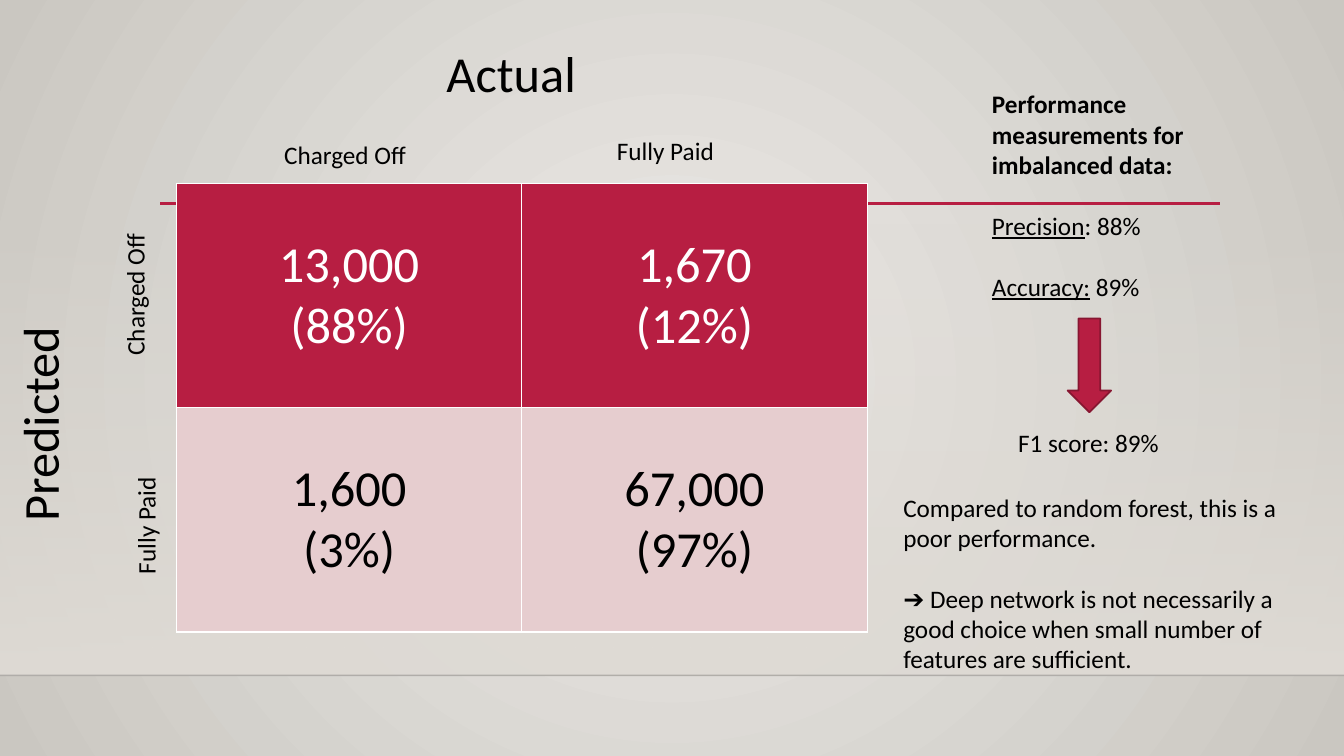
from dataclasses import dataclass

from lxml import etree
from pptx import Presentation
from pptx.dml.color import RGBColor
from pptx.enum.shapes import MSO_CONNECTOR, MSO_SHAPE
from pptx.enum.text import MSO_ANCHOR, PP_ALIGN
from pptx.oxml import parse_xml
from pptx.oxml.ns import nsdecls, qn
from pptx.util import Inches, Pt

STRAIGHT = MSO_CONNECTOR.STRAIGHT
RECTANGLE = MSO_SHAPE.RECTANGLE
DOWN_ARROW = MSO_SHAPE.DOWN_ARROW
MIDDLE = MSO_ANCHOR.MIDDLE
LEFT, CENTER = PP_ALIGN.LEFT, PP_ALIGN.CENTER

SLIDE_WIDTH, SLIDE_HEIGHT = Inches(13.33), Inches(7.5)


@dataclass(frozen=True)
class Theme:
    font: str = "Calibri"
    heading: int = 36
    body: int = 18
    line_gap: int = 22
    text: str = "000000"
    white: str = "FFFFFF"
    accent: str = "B71E42"
    accent_dark: str = "871631"
    tint: str = "E6CDCF"
    glow: str = "ECEAE7"
    edge: str = "CAC7C1"
    band: str = "DFDBD5"
    floor: str = "000001"


THEME = Theme()


@dataclass(frozen=True)
class Area:
    """Left, top, width and height in percent of the slide's size."""
    left: float
    top: float
    width: float
    height: float

    def box(self) -> tuple[int, int, int, int]:
        return (across(self.left), down(self.top),
                across(self.width), down(self.height))


@dataclass(frozen=True)
class Piece:
    text: str
    bold: bool = False
    underline: bool = False


@dataclass(frozen=True)
class Label:
    area: Area
    lines: tuple
    size: int = THEME.body
    rotation: int = 0
    gap: int = 0


@dataclass(frozen=True)
class Rule:
    left: float
    right: float
    top: float
    color: str
    width: float
    opacity: int = 100


@dataclass(frozen=True)
class MatrixRow:
    cells: tuple
    fill: str
    color: str


RULES = (
    Rule(0, 100, 89.33, THEME.floor, 1, 20),
    Rule(11.93, 90.77, 26.93, THEME.accent, 2.5),
)
MATRIX_AREA = Area(13.13, 24.27, 51.39, 59.33)
MATRIX = (
    MatrixRow((("13,000", "(88%)"), ("1,670", "(12%)")), THEME.accent, THEME.white),
    MatrixRow((("1,600", "(3%)"), ("67,000", "(97%)")), THEME.tint, THEME.text),
)
LABELS = (
    Label(Area(32.48, 4.93, 12.68, 9.47), ("Actual",), THEME.heading),
    Label(Area(-7.28, 47.47, 20.41, 9.47), ("Predicted",), THEME.heading, 270),
    Label(Area(20.41, 17.73, 13.58, 5.33), ("Charged Off",)),
    Label(Area(45.16, 17.2, 13.58, 5.33), ("Fully Paid",)),
    Label(Area(3.23, 33.6, 13.58, 5.33), ("Charged Off",), rotation=270),
    Label(Area(4.05, 62.53, 13.58, 5.33), ("Fully Paid",), rotation=270),
    Label(Area(73.07, 11.07, 19.13, 29.6), (
        (Piece("Performance measurements for imbalanced data:", bold=True),),
        (Piece("Precision", underline=True), Piece(": 88%")),
        (Piece("Accuracy:", underline=True), Piece(" 89%")),
    ), gap=THEME.line_gap),
    Label(Area(75.02, 55.87, 12.83, 5.33), ("F1 score: 89%",)),
    Label(Area(66.47, 64.4, 32.41, 25.6), (
        "Compared to random forest, this is a poor performance.",
        "➔ Deep network is not necessarily a good choice when small number of "
        "features are sufficient.",
    ), gap=THEME.line_gap),
)


def across(percent: float) -> int:
    return round(SLIDE_WIDTH * percent / 100)


def down(percent: float) -> int:
    return round(SLIDE_HEIGHT * percent / 100)


def write_text(frame, lines, *, size: int, color: str = THEME.text,
               align=LEFT, gap: int = 0) -> None:
    frame.word_wrap = True
    for index, line in enumerate(lines):
        paragraph = frame.paragraphs[0] if index == 0 else frame.add_paragraph()
        paragraph.alignment = align
        paragraph.space_before = Pt(gap if index else 0)
        for piece in (Piece(line),) if isinstance(line, str) else line:
            run = paragraph.add_run()
            run.text = piece.text
            run.font.name = THEME.font
            run.font.size = Pt(size)
            run.font.bold = piece.bold
            run.font.underline = piece.underline
            run.font.color.rgb = RGBColor.from_string(color)


def set_opacity(color_element, percent: int) -> None:
    etree.SubElement(color_element, qn("a:alpha")).set("val", str(percent * 1000))


def set_gradient(fill, colors: tuple[str, str], direction: str):
    fill.gradient()
    for stop, color, position in zip(fill.gradient_stops, colors, (0, 1)):
        stop.color.rgb = RGBColor.from_string(color)
        stop.position = position
    gradient = fill._fill._gradFill
    gradient.replace(gradient.find(qn("a:lin")), parse_xml(direction))
    return gradient


def draw_backdrop(slide) -> None:
    set_gradient(
        slide.background.fill, (THEME.glow, THEME.edge),
        f'<a:path {nsdecls("a")} path="circle">'
        '<a:fillToRect l="50000" t="50000" r="50000" b="50000"/></a:path>')
    band = slide.shapes.add_shape(RECTANGLE, *Area(0, 29.47, 100, 59.87).box())
    band.shadow.inherit = False
    band.line.fill.background()
    gradient = set_gradient(band.fill, (THEME.band, THEME.band),
                            f'<a:lin {nsdecls("a")} ang="5400000" scaled="0"/>')
    set_opacity(gradient.find(".//" + qn("a:srgbClr")), 0)


def draw_rule(slide, rule: Rule) -> None:
    top = down(rule.top)
    connector = slide.shapes.add_connector(
        STRAIGHT, across(rule.left), top, across(rule.right), top)
    connector.line.color.rgb = RGBColor.from_string(rule.color)
    connector.line.width = Pt(rule.width)
    properties = connector._element.spPr
    set_opacity(properties.find(".//" + qn("a:srgbClr")), rule.opacity)
    etree.SubElement(properties, qn("a:effectLst"))


def draw_borders(cell) -> None:
    properties = cell._tc.get_or_add_tcPr()
    for index, side in enumerate(("lnL", "lnR", "lnT", "lnB")):
        properties.insert(index, parse_xml(
            f'<a:{side} {nsdecls("a")} w="{Pt(1)}"><a:solidFill>'
            f'<a:srgbClr val="{THEME.white}"/></a:solidFill></a:{side}>'))


def draw_matrix(slide) -> None:
    table = slide.shapes.add_table(
        len(MATRIX), len(MATRIX[0].cells), *MATRIX_AREA.box()).table
    for row_index, row in enumerate(MATRIX):
        for column_index, lines in enumerate(row.cells):
            cell = table.cell(row_index, column_index)
            cell.vertical_anchor = MIDDLE
            cell.fill.solid()
            cell.fill.fore_color.rgb = RGBColor.from_string(row.fill)
            draw_borders(cell)
            write_text(cell.text_frame, lines, size=THEME.heading,
                       color=row.color, align=CENTER)


def draw_label(slide, label: Label) -> None:
    box = slide.shapes.add_textbox(*label.area.box())
    box.rotation = label.rotation
    write_text(box.text_frame, label.lines, size=label.size, gap=label.gap)


def draw_arrow(slide) -> None:
    arrow = slide.shapes.add_shape(DOWN_ARROW, *Area(79.44, 42.13, 3.23, 12.4).box())
    arrow.shadow.inherit = False
    arrow.fill.solid()
    arrow.fill.fore_color.rgb = RGBColor.from_string(THEME.accent)
    arrow.line.color.rgb = RGBColor.from_string(THEME.accent_dark)
    arrow.line.width = Pt(1.25)


def main() -> None:
    presentation = Presentation()
    presentation.slide_width, presentation.slide_height = SLIDE_WIDTH, SLIDE_HEIGHT
    slide = presentation.slides.add_slide(presentation.slide_layouts[6])
    draw_backdrop(slide)
    for rule in RULES:
        draw_rule(slide, rule)
    draw_matrix(slide)
    for label in LABELS:
        draw_label(slide, label)
    draw_arrow(slide)
    presentation.save("out.pptx")


if __name__ == "__main__":
    main()
